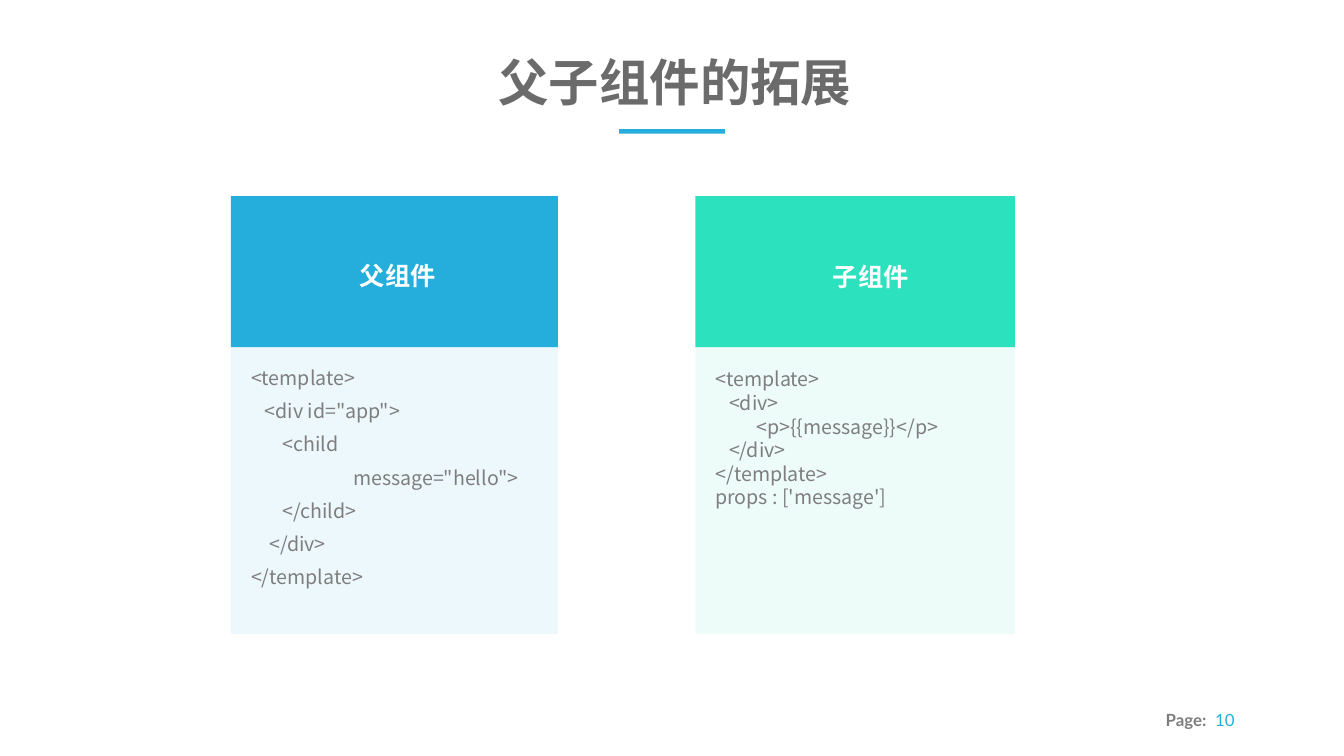
from lxml import etree
from pptx import Presentation
from pptx.dml.color import RGBColor
from pptx.enum.shapes import MSO_SHAPE
from pptx.enum.text import MSO_ANCHOR, PP_ALIGN
from pptx.oxml.ns import qn
from pptx.util import Inches, Pt

RECTANGLE = MSO_SHAPE.RECTANGLE
TOP, MIDDLE = MSO_ANCHOR.TOP, MSO_ANCHOR.MIDDLE
LEFT, CENTER, RIGHT = PP_ALIGN.LEFT, PP_ALIGN.CENTER, PP_ALIGN.RIGHT
WIDTH, HEIGHT = Inches(26.66), Inches(15)
CJK, LATIN = "Noto Sans CJK SC", "Lato"
BLUE, GREEN, GRAY = "25AEDB", "2CE1BE", "7E7E7E"
PANEL_TOP, HEAD_HEIGHT, BODY_HEIGHT = 25.93, 20, 37.93
SPACE_WIDTH = 0.09

PARENT_CODE = [
    (0, "<template>"),
    (3, '<div id="app">'),
    (7, "<child"),
    (22.5, 'message="hello">'),
    (7, "</child>"),
    (4, "</div>"),
    (0, "</template>"),
]
CHILD_CODE = [
    (0, "<template>"),
    (3, "<div>"),
    (9, "<p>{{message}}</p>"),
    (3, "</div>"),
    (0, "</template>"),
    (0, "props : ['message']"),
]


def color(value):
    """Turn a hex string into a colour."""
    return RGBColor.from_string(value)


def area(left, top, width, height):
    """Turn percentages of the slide into a position and size."""
    return [int(share * side / 100) for share, side in
            zip((left, top, width, height), (WIDTH, HEIGHT) * 2)]


def set_margins(frame, margin):
    """Give all four sides of a text frame the same margin."""
    frame.margin_left = frame.margin_right = margin
    frame.margin_top = frame.margin_bottom = margin


def format_text(para, size, fill, font, bold=False):
    """Format every run of a paragraph, East Asian font included."""
    for span in para.runs:
        span.font.size = Pt(size)
        span.font.bold = bold
        span.font.color.rgb = color(fill)
        span.font.name = font
        properties = span.font._element
        etree.SubElement(properties, qn("a:ea"), typeface=font)


def add_block(page, place, fill, opacity=100):
    """Add a plain rectangle, optionally see-through."""
    block = page.shapes.add_shape(RECTANGLE, *area(*place))
    block.shadow.inherit = False
    block.line.fill.background()
    block.fill.solid()
    block.fill.fore_color.rgb = color(fill)
    if opacity < 100:
        tint = block._element.spPr.find(".//" + qn("a:srgbClr"))
        etree.SubElement(tint, qn("a:alpha"), val=str(opacity * 1000))
    return block


def add_label(page, place, text, size, fill, font=CJK, bold=True, align=CENTER):
    """Add a single line of text, centred vertically."""
    box = page.shapes.add_textbox(*area(*place))
    frame = box.text_frame
    frame.word_wrap = False
    frame.vertical_anchor = MIDDLE
    set_margins(frame, 0)
    frame.text = text
    para = frame.paragraphs[0]
    para.alignment = align
    format_text(para, size, fill, font, bold)


def add_code(block, lines, line_spacing, space_after):
    """Write indented lines of code into a block."""
    frame = block.text_frame
    frame.word_wrap = True
    frame.vertical_anchor = TOP
    set_margins(frame, Inches(0.4))
    frame.text = "\n".join(text for _, text in lines)
    for para, (indent, _) in zip(frame.paragraphs, lines):
        para.alignment = LEFT
        para.line_spacing = line_spacing
        para.space_after = Pt(space_after)
        para._p.get_or_add_pPr().set("marL", str(Inches(indent * SPACE_WIDTH)))
        format_text(para, 28, GRAY, CJK)


def add_panel(page, left, width, fill, tint, heading, heading_place,
              code, line_spacing, space_after):
    """Add a component panel: code body, coloured head and heading."""
    body_top = PANEL_TOP + HEAD_HEIGHT
    body = add_block(page, (left, body_top, width, BODY_HEIGHT), tint, 20)
    add_code(body, code, line_spacing, space_after)
    add_block(page, (left, PANEL_TOP, width, HEAD_HEIGHT), fill)
    add_label(page, (*heading_place, 7.2, 5.4), heading, 36, "FFFFFF")


def main():
    """Build the slide and save it."""
    deck = Presentation()
    deck.slide_width, deck.slide_height = WIDTH, HEIGHT
    page = deck.slides.add_slide(deck.slide_layouts[6])
    add_label(page, (90.36, 93.87, 1.54, 2.67), "10", 24, BLUE, LATIN, False)
    add_label(page, (86.68, 93.87, 3.08, 2.67), "Page:", 24, GRAY, LATIN,
              align=RIGHT)
    add_block(page, (46.06, 17.07, 7.88, 0.6), BLUE)
    add_panel(page, 17.18, 24.34, BLUE, "A8DFF1", "父组件", (25.99, 33.73),
              PARENT_CODE, 0.94, 16)
    add_panel(page, 51.73, 23.78, GREEN, "ABF3E5", "子组件", (61.18, 33.87),
              CHILD_CODE, 1.0, 0)
    add_label(page, (36.95, 6.73, 26.52, 8.07), "父子组件的拓展", 72, "6B6B6B")
    deck.save("out.pptx")


if __name__ == "__main__":
    main()
